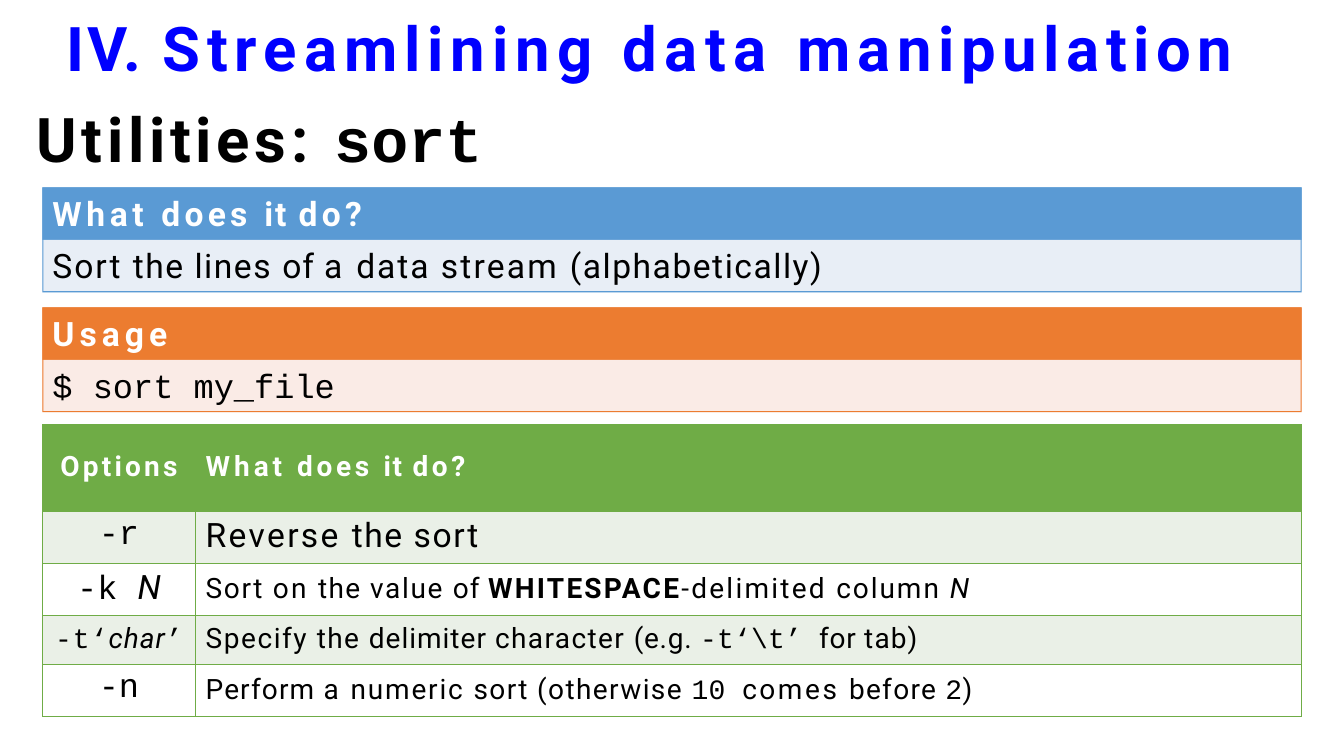
from pptx import Presentation
from pptx.dml.color import RGBColor
from pptx.enum.shapes import MSO_SHAPE
from pptx.enum.text import MSO_ANCHOR, MSO_AUTO_SIZE, PP_ALIGN
from pptx.oxml import parse_xml
from pptx.oxml.ns import nsdecls
from pptx.util import Inches, Pt

WHITE = RGBColor(0xFF, 0xFF, 0xFF)
BLACK = RGBColor(0, 0, 0)
TITLE = RGBColor(0, 0, 0xFF)
BLUE = RGBColor(0x5A, 0x9A, 0xD4)
PALE = RGBColor(0xE8, 0xEE, 0xF6)
ORANGE = RGBColor(0xEC, 0x7C, 0x30)
PEACH = RGBColor(0xFA, 0xEB, 0xE6)
GREEN = RGBColor(0x6F, 0xAC, 0x46)
MINT = RGBColor(0xEA, 0xF0, 0xE7)

LEFT, WIDTH, BAR, EDGE = 0.42, 12.49, 0.52, 0.01
MONO = {"name": "Courier New"}
BOLD = {"bold": True}
SLANT = {"italic": True}
HEAD = {"name": "Roboto", "size": Pt(24), "bold": True, "color": WHITE}
BODY = {"name": "Roboto", "size": Pt(24), "bold": False, "color": BLACK}
SMALL = {"size": Pt(20)}


def set_font(font, look):
    """Set font attributes from a dict of format values."""
    for key, value in look.items():
        if key == "color":
            font.color.rgb = value
        else:
            setattr(font, key, value)


def write(para, base, runs):
    """Add runs given as text, letter spacing and changes to the base look."""
    for text, gap, *extra in runs:
        run = para.add_run()
        run.text = text
        set_font(run.font, base | (extra[0] if extra else {}))
        run.font._element.set("spc", str(round(gap * 100)))


def indent(para, margin, first=0):
    """Set the left margin and first-line indent of a paragraph."""
    props = para._p.get_or_add_pPr()
    props.set("marL", str(Inches(margin)))
    props.set("indent", str(Inches(first)))


def pad(box, top):
    """Leave only a top margin, and hang the text from it."""
    values = {"margin_left": 0, "margin_top": Inches(top), "margin_right": 0,
              "margin_bottom": 0, "vertical_anchor": MSO_ANCHOR.TOP}
    for key, value in values.items():
        setattr(box, key, value)


def add_title(slide):
    """Place and fill the title, which wraps onto a second line."""
    title = slide.shapes.title
    title.left, title.top = Inches(0.35), Inches(-0.24)
    title.width, title.height = Inches(12.64), Inches(2.23)
    frame = title.text_frame
    frame.word_wrap = True
    frame.auto_size = MSO_AUTO_SIZE.NONE
    pad(frame, 0.17)
    para = frame.paragraphs[0]
    para.alignment = PP_ALIGN.LEFT
    para.line_spacing = 1.23
    para.space_before = Pt(1)
    indent(para, 0.01, 0.3)
    dark = {"color": BLACK}
    write(para, HEAD | {"size": Pt(44), "color": TITLE}, [
        ("IV. ", 1.9), ("Streamlining ", 5), ("data ", 5.5),
        ("manipulation ", 4.7), ("Utilities: ", 3.4, dark),
        ("sort", 0.1, dark | MONO)])


def add_bar(slide, top, fill, look, runs):
    """Add one filled bar of text."""
    bar = slide.shapes.add_shape(MSO_SHAPE.RECTANGLE, Inches(LEFT), Inches(top),
                                 Inches(WIDTH), Inches(BAR))
    bar.shadow.inherit = False
    bar.fill.solid()
    bar.fill.fore_color.rgb = fill
    bar.line.fill.background()
    frame = bar.text_frame
    frame.word_wrap = True
    pad(frame, 0.05)
    para = frame.paragraphs[0]
    para.alignment = PP_ALIGN.LEFT
    para.space_before = Pt(3.4)
    indent(para, 0.1)
    write(para, look, runs)


def add_frame(slide, top, color):
    """Outline a pair of bars with a thin hollow band."""
    right, base = LEFT + WIDTH, top + 2 * BAR
    outer = [(LEFT, top), (right, top), (right, base), (LEFT, base)]
    inner = [(LEFT + EDGE, top + EDGE), (LEFT + EDGE, base - EDGE),
             (right - EDGE, base - EDGE), (right - EDGE, top + EDGE)]
    outer, inner = ([(Inches(x), Inches(y)) for x, y in ring]
                    for ring in (outer, inner))
    pen = slide.shapes.build_freeform(*outer[0])
    pen.add_line_segments(outer[1:])
    pen.move_to(*inner[0])
    pen.add_line_segments(inner[1:])
    band = pen.convert_to_shape()
    band.shadow.inherit = False
    band.fill.solid()
    band.fill.fore_color.rgb = color
    band.line.fill.background()


def add_panel(slide, top, color, tint, head, body, look):
    """Add a heading bar, a body bar and their frame."""
    add_bar(slide, top, color, HEAD, head)
    add_bar(slide, top + BAR, tint, look, body)
    add_frame(slide, top, color)


def add_borders(cell):
    """Draw thin green lines round a cell."""
    props = cell._tc.get_or_add_tcPr()
    for place, side in enumerate(("lnL", "lnR", "lnT", "lnB")):
        props.insert(place, parse_xml(
            f'<a:{side} {nsdecls("a")} w="{Pt(0.5)}"><a:solidFill>'
            f'<a:srgbClr val="{GREEN}"/></a:solidFill></a:{side}>'))


def fill_cell(cell, fill, top, space, look, runs, center):
    """Format and fill one table cell."""
    pad(cell, top)
    if fill:
        cell.fill.solid()
        cell.fill.fore_color.rgb = fill
    else:
        cell.fill.background()
    add_borders(cell)
    para = cell.text_frame.paragraphs[0]
    para.space_before = Pt(space)
    para.alignment = PP_ALIGN.CENTER if center else PP_ALIGN.LEFT
    indent(para, 0 if center else 0.1)
    write(para, look, runs)


def add_options(slide):
    """Add the table of options."""
    code, note = BODY | MONO, BODY | SMALL
    title = HEAD | SMALL
    rows = [
        (0.86, GREEN,
         (0.26, 18.5, title, [("Options", 2.3)]),
         (0.26, 18.5, title, [("What ", 2.8), ("does ", 2.6), ("it ", 1.2),
                              ("do?", 2.6)])),
        (0.52, MINT,
         (0.05, 3.7, code, [("-r", 0)]),
         (0.05, 3.7, BODY, [("Reverse ", 1.7), ("the ", 1.1), ("sort", 1.2)])),
        (0.52, None,
         (0.05, 3.8, BODY, [("-k ", 0, MONO), ("N", 2.6, SLANT)]),
         (0.09, 6.4, note, [
             ("Sort ", 1.2), ("on ", 1.6), ("the ", 1), ("value ", 1.2),
             ("of ", 0.6), ("WHITESPACE", 1.6, BOLD), ("-delimited ", 1.6),
             ("column ", 1.4), ("N", 2.1, SLANT)])),
        (0.48, MINT,
         (0.07, 4.9, note, [("-t‘", 0.7, MONO), ("char", 0.7, SLANT),
                            ("’", 0.7, MONO)]),
         (0.07, 5, note, [
             ("Specify ", 1.1), ("the ", 1), ("delimiter ", 0.7),
             ("character ", 1), ("(e.g. ", 0.5), ("-t‘\\t’ ", 0.1, MONO),
             ("for ", 0.5), ("tab)", 0.8)])),
        (0.52, None,
         (0.05, 3.7, code, [("-n", 0)]),
         (0.09, 6.3, note, [
             ("Perform ", 0.8), ("a ", 1.7), ("numeric ", 1.3),
             ("sort (otherwise ", 1), ("10 ", 0, MONO), ("comes ", 1.8),
             ("before ", 0.9), ("2", 0.2, MONO), (")", 0.2)])),
    ]
    table = slide.shapes.add_table(len(rows), 2, Inches(LEFT), Inches(4.21),
                                   Inches(WIDTH), Inches(2.9)).table
    table.first_row = table.horz_banding = False
    for col, width in zip(table.columns, (1.52, 10.97)):
        col.width = Inches(width)
    for r, (height, fill, *cells) in enumerate(rows):
        table.rows[r].height = Inches(height)
        for c, (top, space, look, runs) in enumerate(cells):
            fill_cell(table.cell(r, c), fill, top, space, look, runs, c == 0)


def main():
    """Build the slide and save it."""
    deck = Presentation()
    deck.slide_width, deck.slide_height = Inches(13.33), Inches(7.5)
    slide = deck.slides.add_slide(deck.slide_layouts[5])
    add_title(slide)
    add_panel(slide, 1.86, BLUE, PALE,
              [("What ", 3.3), ("does ", 3), ("it ", 1.4), ("do?", 3.1)],
              [("Sort ", 1.4), ("the lines ", 1.1), ("of ", 0.6), ("a ", 2),
               ("data ", 1.4), ("stream ", 1.6), ("(alphabetically)", 1.1)],
              BODY)
    add_options(slide)
    add_panel(slide, 3.05, ORANGE, PEACH, [("Usage", 3.6)],
              [("$ sort my_file", 0)], BODY | MONO)
    deck.save("out.pptx")


main()
